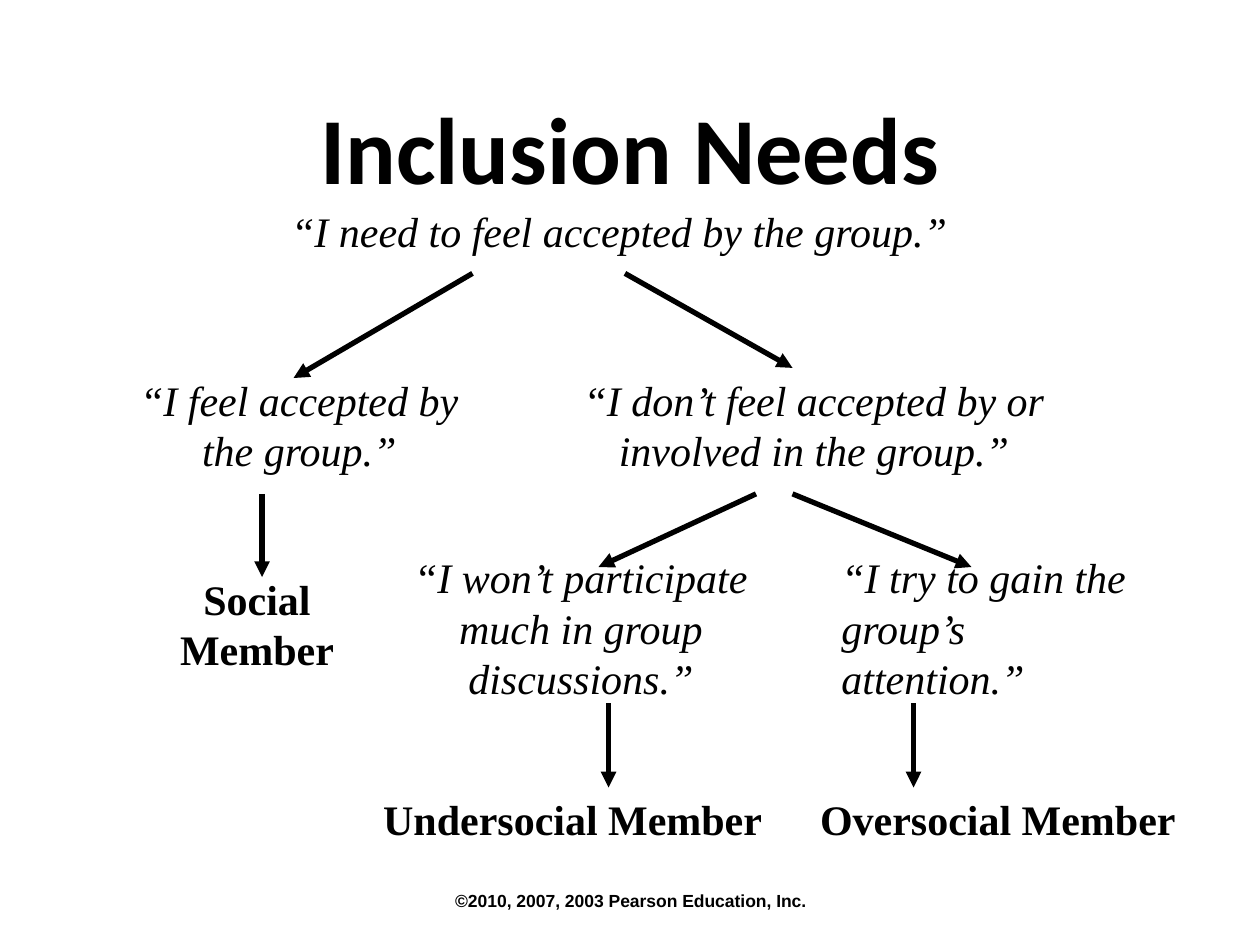
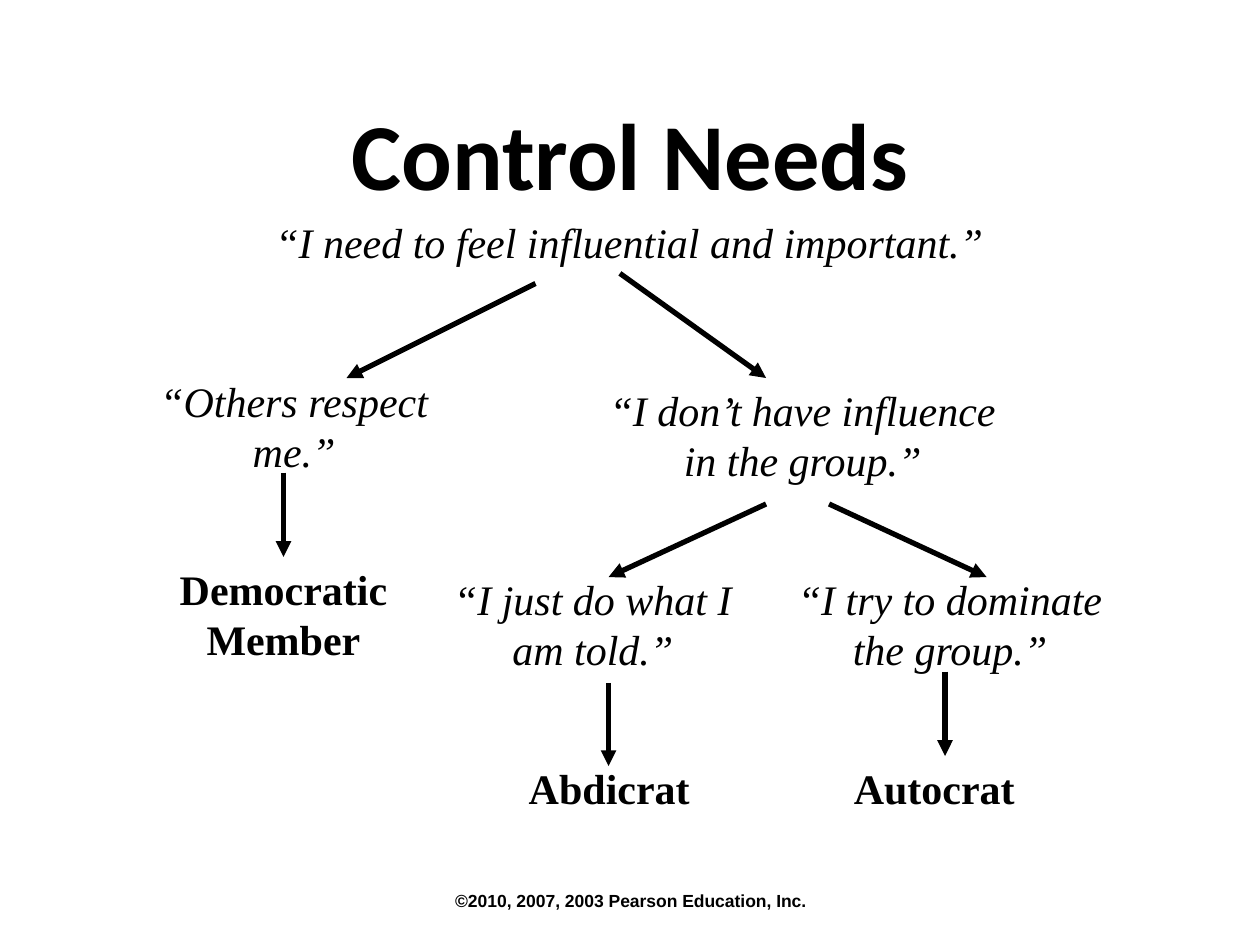
from lxml import etree
from pptx import Presentation
from pptx.dml.color import RGBColor
from pptx.enum.shapes import MSO_CONNECTOR
from pptx.enum.text import MSO_ANCHOR, MSO_AUTO_SIZE, PP_ALIGN
from pptx.oxml.ns import qn
from pptx.util import Inches, Pt

# Shared style
INK = "000000"
TITLE_FONT, BODY_FONT, FOOTER_FONT = "Calibri", "Times New Roman", "Arial"
FOOTER = "©2010, 2007, 2003 Pearson Education, Inc."
TITLE_ONLY = 5


def rgb(color):
    return RGBColor.from_string(color)


def style(p, font, size, bold=False, italic=False, align=PP_ALIGN.CENTER):
    p.alignment = align
    p.font.name, p.font.size = font, Pt(size)
    p.font.bold, p.font.italic = bold, italic
    p.font.color.rgb = rgb(INK)


def add_text(s, text, left, top, width, height):
    box = s.shapes.add_textbox(*map(Inches, (left, top, width, height)))
    tf = box.text_frame
    tf.word_wrap = True
    tf.text = text
    return tf


def add_title(s, text, height):
    title = s.shapes.title
    title.left, title.top = Inches(0.5), Inches(0.75)
    title.width, title.height = Inches(9), Inches(height)
    tf = title.text_frame
    tf.text = text
    tf.auto_size = MSO_AUTO_SIZE.NONE
    tf.vertical_anchor = MSO_ANCHOR.MIDDLE
    style(tf.paragraphs[0], TITLE_FONT, 54, bold=True)


def add_footer(s):
    tf = add_text(s, FOOTER, 3.42, 6.95, 3.17, 0.4)
    tf.vertical_anchor = MSO_ANCHOR.MIDDLE
    style(tf.paragraphs[0], FOOTER_FONT, 10, bold=True)


def add_node(s, text, left, top, width, lines, align=PP_ALIGN.CENTER):
    """Quotations are italic; member types are bold."""
    tf = add_text(s, text, left, top, width, 0.1 + 0.4 * lines)
    tf.auto_size = MSO_AUTO_SIZE.SHAPE_TO_FIT_TEXT
    quoted = text.startswith("“")
    style(tf.paragraphs[0], BODY_FONT, 24, not quoted, quoted, align)


def add_arrow(s, x1, y1, x2, y2):
    line = s.shapes.add_connector(
        MSO_CONNECTOR.STRAIGHT, *map(Inches, (x1, y1, x2, y2)))
    line.line.color.rgb = rgb(INK)
    line.line.width = Pt(3)
    etree.SubElement(line.line._get_or_add_ln(), qn("a:tailEnd"), type="triangle")
    etree.SubElement(line._element.spPr, qn("a:effectLst"))


def add_needs_slide(prs, title, title_height, nodes, arrows):
    s = prs.slides.add_slide(prs.slide_layouts[TITLE_ONLY])
    add_footer(s)
    add_title(s, title, title_height)
    for node in nodes:
        add_node(s, *node)
    for arrow in arrows:
        add_arrow(s, *arrow)


# Nodes: text, left, top, width, lines; arrows: start x, y, end x, y
INCLUSION_NODES = [
    ("“I need to feel accepted by the group.”", 2.08, 1.58, 5.67, 1),
    ("“I feel accepted by the group.”", 1, 2.92, 2.75, 2),
    ("Social Member", 1, 4.5, 2.08, 2),
    ("“I don’t feel accepted by or involved in the group.”", 4.17, 2.92, 4.58, 2),
    ("“I won’t participate much in group discussions.”", 2.92, 4.33, 3.38, 3),
    ("“I try to gain the group’s attention.”", 6.58, 4.33, 2.5, 3, PP_ALIGN.LEFT),
    ("Undersocial Member", 2.92, 6.25, 3.25, 1),
    ("Oversocial Member", 6.17, 6.25, 3.5, 1),
]
INCLUSION_ARROWS = [
    (3.75, 2.17, 2.33, 3), (4.96, 2.17, 6.29, 2.92),
    (2.08, 3.92, 2.08, 4.58),
    (6, 3.92, 4.75, 4.5), (6.29, 3.92, 7.71, 4.5),
    (4.83, 5.58, 4.83, 6.25), (7.25, 5.58, 7.25, 6.25),
]
CONTROL_NODES = [
    ("“I need to feel influential and important.”", 1.83, 1.67, 6.33, 1),
    ("“Others respect me.”", 1, 2.93, 2.67, 2),
    ("Democratic Member", 1, 4.42, 2.5, 2),
    ("“I don’t have influence in the group.”", 4.58, 3, 3.58, 2),
    ("“I just do what I am told.”", 3.33, 4.5, 2.75, 2),
    ("“I try to dominate the group.”", 6.08, 4.5, 2.92, 2),
    ("Abdicrat", 3.5, 6, 2.67, 1),
    ("Autocrat", 6.33, 6, 2.17, 1),
]
CONTROL_ARROWS = [
    (4.25, 2.25, 2.75, 3), (4.92, 2.17, 6.08, 3),
    (2.25, 3.75, 2.25, 4.42),
    (6.08, 4, 4.83, 4.58), (6.58, 4, 7.83, 4.58),
    (4.83, 5.42, 4.83, 6.08), (7.5, 5.33, 7.5, 6),
]


def main():
    prs = Presentation()
    prs.slide_width, prs.slide_height = Inches(10), Inches(7.5)
    add_needs_slide(prs, "Inclusion Needs", 0.83, INCLUSION_NODES, INCLUSION_ARROWS)
    add_needs_slide(prs, "Control Needs", 0.92, CONTROL_NODES, CONTROL_ARROWS)
    prs.save("out.pptx")


if __name__ == "__main__":
    main()
